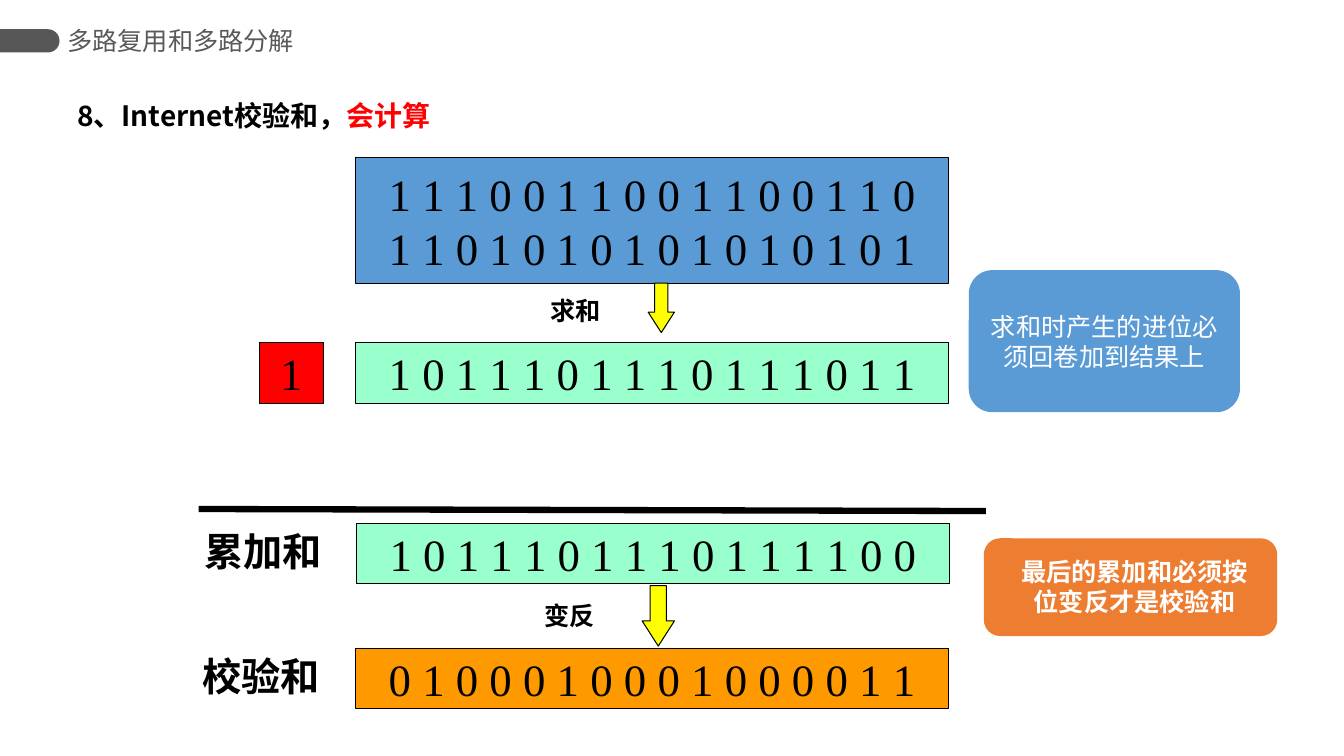
"""Build a slide that explains the Internet checksum."""
import pptx
import pptx.util
import pptx.dml.color
import pptx.enum.shapes
import pptx.enum.text
import pptx.oxml.ns
import lxml.etree

Kind = pptx.enum.shapes.MSO_SHAPE
Align = pptx.enum.text.PP_ALIGN
Anchor = pptx.enum.text.MSO_ANCHOR
Fit = pptx.enum.text.MSO_AUTO_SIZE
Pt = pptx.util.Pt
HAN = "Noto Sans CJK SC"

deck = pptx.Presentation()
deck.slide_width = pptx.util.Inches(13.33)
deck.slide_height = pptx.util.Inches(7.5)
slide = deck.slides.add_slide(deck.slide_layouts[5])
shapes = slide.shapes
col = deck.slide_width / 100
row = deck.slide_height / 100


def tint(part, color):
    """Give a fill a solid colour."""
    part.solid()
    part.fore_color.rgb = pptx.dml.color.RGBColor.from_string(color)


def write(shape, text, size=18, font=HAN, color="000000", bold=False,
          align=Align.LEFT, anchor=Anchor.TOP, wrap=True):
    """Add text to a shape, one paragraph for each line."""
    frame = shape.text_frame
    frame.auto_size = Fit.NONE
    frame.word_wrap = wrap
    frame.vertical_anchor = anchor
    for i, line in enumerate(text.split("\n")):
        para = frame.add_paragraph() if i else frame.paragraphs[-1]
        para.alignment = align
        run = para.add_run()
        run.text = line
        run.font.size = Pt(size)
        run.font.bold = bold
        tint(run.font.fill, color)
        run.font.name = font
        east = lxml.etree.SubElement(run.font._element, pptx.oxml.ns.qn("a:ea"))
        east.set("typeface", HAN)


title = shapes.title
title.left, title.top = int(5 * col), int(2.53 * row)
title.width, title.height = int(17.5 * col), int(5.6 * row)
title.text_frame.margin_left = title.text_frame.margin_right = 0
write(title, "多路复用和多路分解", font="Arial", color="595959", anchor=Anchor.MIDDLE)

tab = shapes.add_shape(Kind.ROUND_2_SAME_RECTANGLE, int(1.35 * col), int(1.47 * row),
                       int(1.73 * col), int(7.87 * row))
tab.rotation = 90
tab.adjustments[0] = 0.5
tab.shadow.inherit = False
tint(tab.fill, "575757")
tab.line.fill.background()

head = shapes.add_textbox(int(5 * col), int(12.4 * row), int(85.8 * col), int(5.87 * row))
write(head, "8、Internet校验和，", size=20, bold=True)
write(head, "会计算", size=20, bold=True, color="FF0000")

words = [
    (26.48, 20.8, 44.1, 16.67, "5B9BD5", ["1110011001100110", "1101010101010101"]),
    (26.48, 45.33, 44.1, 8, "99FFCC", ["1011101110111011"]),
    (19.28, 45.33, 4.8, 8, "FF0000", ["1"]),
    (26.55, 69.2, 44.1, 8, "99FFCC", ["1011101110111100"]),
    (26.48, 85.73, 44.1, 8, "FF9900", ["0100010001000011"]),
]
for x, y, w, h, color, bits in words:
    box = shapes.add_shape(Kind.FLOWCHART_PROCESS, int(x * col), int(y * row),
                           int(w * col), int(h * row))
    box.shadow.inherit = False
    tint(box.fill, color)
    tint(box.line.fill, "000000")
    box.line.width = Pt(0.75)
    write(box, "\n".join(" ".join(word) for word in bits), size=32,
          font="Times New Roman", align=Align.CENTER, anchor=Anchor.MIDDLE, wrap=False)

rule = shapes.add_connector(pptx.enum.shapes.MSO_CONNECTOR.STRAIGHT,
                            int(14.78 * col), int(67.33 * row),
                            int(73.35 * col), int(67.6 * row))
tint(rule.line.fill, "000000")
rule.line.width = Pt(4.5)
lxml.etree.SubElement(rule._element.spPr, pptx.oxml.ns.qn("a:effectLst"))

for x, y, w, h in [(47.78, 77.47, 2.4, 8), (48.23, 37.47, 1.95, 6.53)]:
    arrow = shapes.add_shape(Kind.DOWN_ARROW, int(x * col), int(y * row),
                             int(w * col), int(h * row))
    arrow.adjustments[1] = 0.78
    arrow.shadow.inherit = False
    tint(arrow.fill, "FFFF00")
    tint(arrow.line.fill, "000000")
    arrow.line.width = Pt(0.75)

labels = [
    (14.48, 69.07, 10.65, 7.6, 28, "累加和"),
    (14.33, 85.6, 10.65, 7.6, 28, "校验和"),
    (39.75, 78.8, 7.95, 5.33, 18, "变反"),
    (40.2, 38.4, 7.95, 5.33, 18, "求和"),
]
for x, y, w, h, size, text in labels:
    label = shapes.add_textbox(int(x * col), int(y * row), int(w * col), int(h * row))
    write(label, text, size=size, bold=True)

notes = []
for x, y, w, h, color in [(72.08, 35.73, 20.18, 18.8, "5B9BD5"),
                          (73.2, 71.2, 21.83, 12.93, "ED7D31")]:
    note = shapes.add_shape(Kind.ROUNDED_RECTANGLE, int(x * col), int(y * row),
                            int(w * col), int(h * row))
    note.shadow.inherit = False
    tint(note.fill, color)
    note.line.fill.background()
    notes.append(note)
write(notes[0], "求和时产生的进位必须回卷加到结果上", font="Arial", color="FFFFFF",
      align=Align.CENTER, anchor=Anchor.MIDDLE)
hint = shapes.add_textbox(int(74.78 * col), int(72.93 * row), int(19.28 * col), int(9.47 * row))
write(hint, "最后的累加和必须按位变反才是校验和", font="Comic Neue", color="FFFFFF",
      bold=True, align=Align.CENTER)

deck.save("out.pptx")
